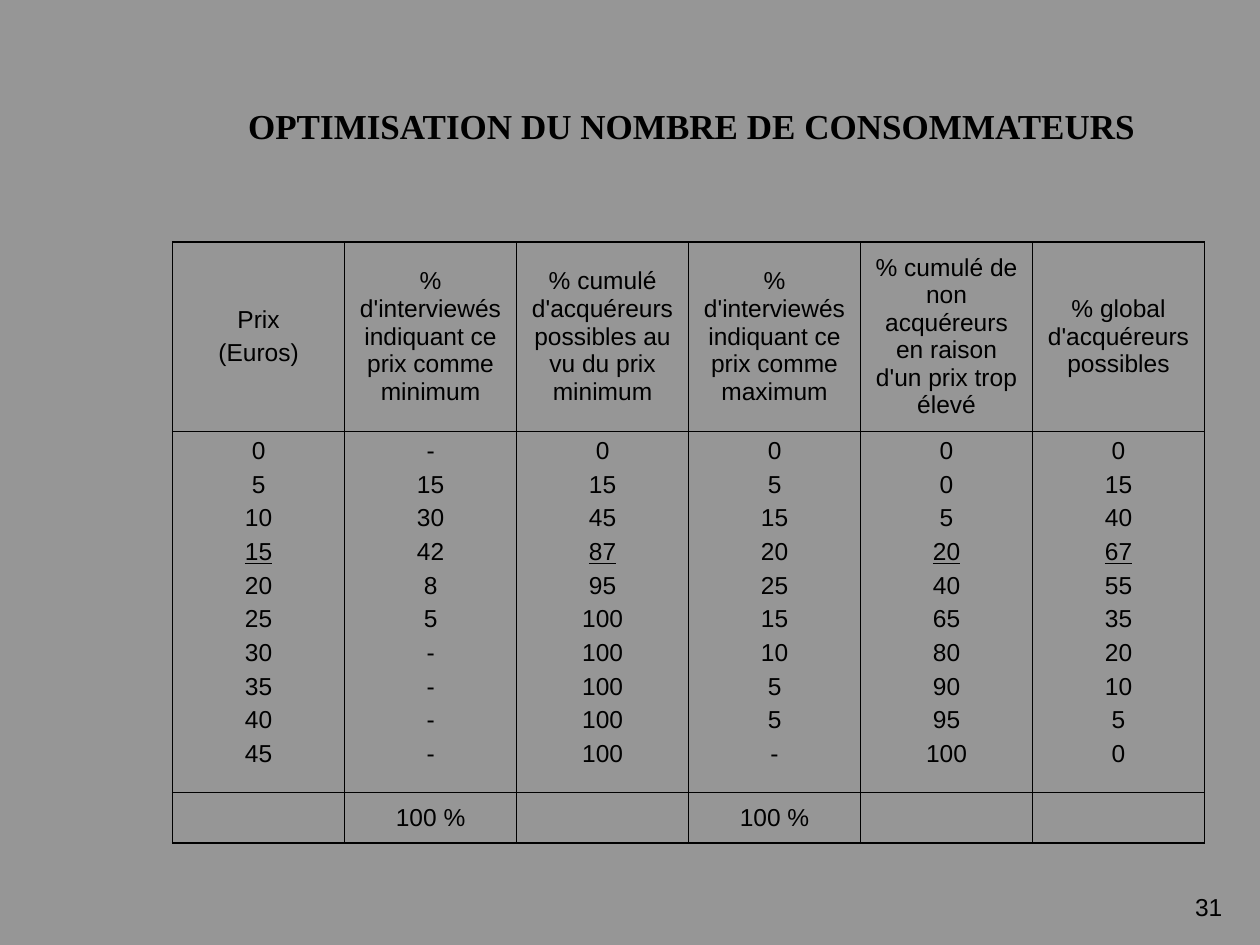
from lxml import etree
from pptx import Presentation
from pptx import util as u
from pptx.dml.color import RGBColor
from pptx.enum import text
from pptx.oxml import ns

BLACK = "000000"
THIN, THICK = 0.45, 1.08
HEADERS = [
    ["Prix", "(Euros)"],
    ["% d'interviewés indiquant ce prix comme minimum"],
    ["% cumulé d'acquéreurs possibles au vu du prix minimum"],
    ["% d'interviewés indiquant ce prix comme maximum"],
    ["% cumulé de non acquéreurs en raison d'un prix trop élevé"],
    ["% global d'acquéreurs possibles"],
]
VALUES = [
    "0 5 10 15 20 25 30 35 40 45",
    "- 15 30 42 8 5 - - - -",
    "0 15 45 87 95 100 100 100 100 100",
    "0 5 15 20 25 15 10 5 5 -",
    "0 0 5 20 40 65 80 90 95 100",
    "0 15 40 67 55 35 20 10 5 0",
]
TOTALS = [[], ["100 %"], [], ["100 %"], [], []]
OPTIMUM_LINE = 3
OPTIMUM_COLUMNS = {0, 2, 4, 5}
ROW_HEIGHTS = [1.5, 2.87, 0.4]
COLUMN_WIDTH = 8.19 / len(HEADERS)


def rgb(value):
    return RGBColor.from_string(value)


def style(p, size, align, font="Arial", bold=False):
    p.alignment = align
    p.font.name, p.font.size, p.font.bold = font, u.Pt(size), bold
    p.font.color.rgb = rgb(BLACK)


def add_label(s, content, left, top, width, height, wrap=True, **look):
    box = s.shapes.add_textbox(*map(u.Inches, (left, top, width, height)))
    tf = box.text_frame
    tf.word_wrap = wrap
    p = tf.paragraphs[0]
    p.text = content
    style(p, **look)
    return p


def set_borders(cell, widths):
    """Draw the left, right, top and bottom borders, widths in points."""
    tcPr = cell._tc.get_or_add_tcPr()
    for i, (side, width) in enumerate(zip("LRTB", widths)):
        ln = etree.Element(ns.qn(f"a:ln{side}"), w=str(u.Pt(width)))
        fill = etree.SubElement(ln, ns.qn("a:solidFill"))
        etree.SubElement(fill, ns.qn("a:srgbClr"), val=BLACK)
        tcPr.insert(i, ln)


def fill_cell(cell, lines, underlined=None):
    cell.fill.background()
    cell.margin_left = cell.margin_right = u.Inches(0.1)
    cell.margin_top = cell.margin_bottom = u.Inches(0.05)
    tf = cell.text_frame
    for i, line in enumerate(lines):
        p = tf.add_paragraph() if i else tf.paragraphs[0]
        p.text = line
        p.space_before = u.Pt(3.5)
        style(p, 14, text.PP_ALIGN.CENTER)
        if i == underlined:
            p.font.underline = True


def add_price_table(s, left, top):
    rows = [HEADERS, [v.split() for v in VALUES], TOTALS]
    n_rows, n_cols = len(rows), len(HEADERS)
    frame = s.shapes.add_table(
        n_rows, n_cols, u.Inches(left), u.Inches(top),
        u.Inches(COLUMN_WIDTH * n_cols), u.Inches(sum(ROW_HEIGHTS)))
    table = frame.table
    table.first_row = table.horz_banding = False
    for column in table.columns:
        column.width = u.Inches(COLUMN_WIDTH)
    for r, row in enumerate(rows):
        table.rows[r].height = u.Inches(ROW_HEIGHTS[r])
        for c, lines in enumerate(row):
            cell = table.cell(r, c)
            is_body = r == 1
            marked = is_body and c in OPTIMUM_COLUMNS
            fill_cell(cell, lines, OPTIMUM_LINE if marked else None)
            cell.vertical_anchor = (text.MSO_ANCHOR.TOP if is_body
                                    else text.MSO_ANCHOR.MIDDLE)
            outer = (c == 0, c == n_cols - 1, r == 0, r == n_rows - 1)
            set_borders(cell, [THICK if edge else THIN for edge in outer])


def main():
    prs = Presentation()
    prs.slide_width, prs.slide_height = u.Inches(10), u.Inches(7.5)
    s = prs.slides.add_slide(prs.slide_layouts[6])
    s.background.fill.solid()
    s.background.fill.fore_color.rgb = rgb("969696")

    title = add_label(s, "OPTIMISATION DU NOMBRE DE CONSOMMATEURS",
                      1.85, 0.68, 7.28, 0.54, wrap=False, size=20,
                      align=text.PP_ALIGN.CENTER, font="Times New Roman",
                      bold=True)
    title.line_spacing = 1.3
    add_price_table(s, 1.37, 1.92)
    add_label(s, "31", 7.47, 7.03, 2.33, 0.52, size=14,
              align=text.PP_ALIGN.RIGHT)
    prs.save("out.pptx")


if __name__ == "__main__":
    main()
